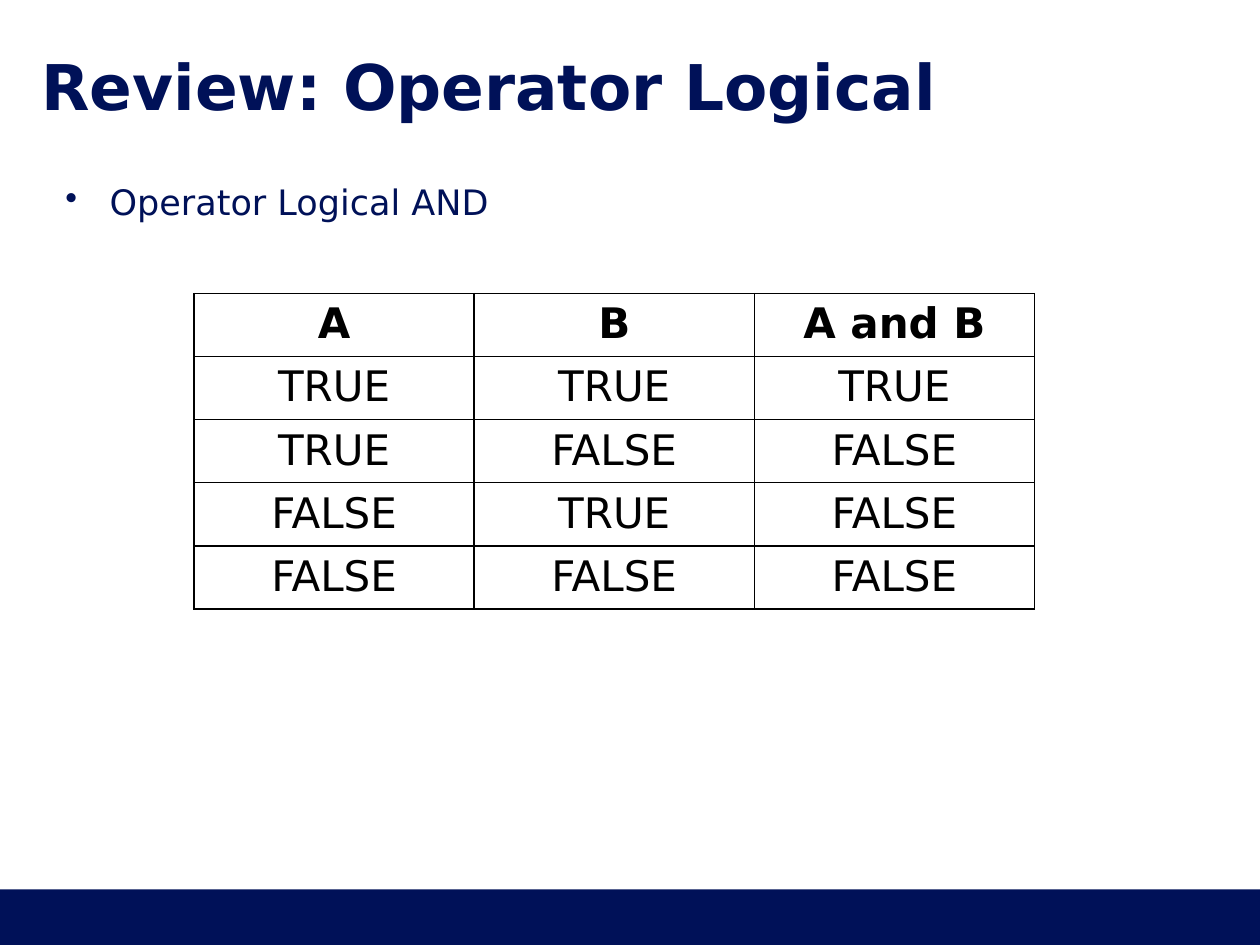
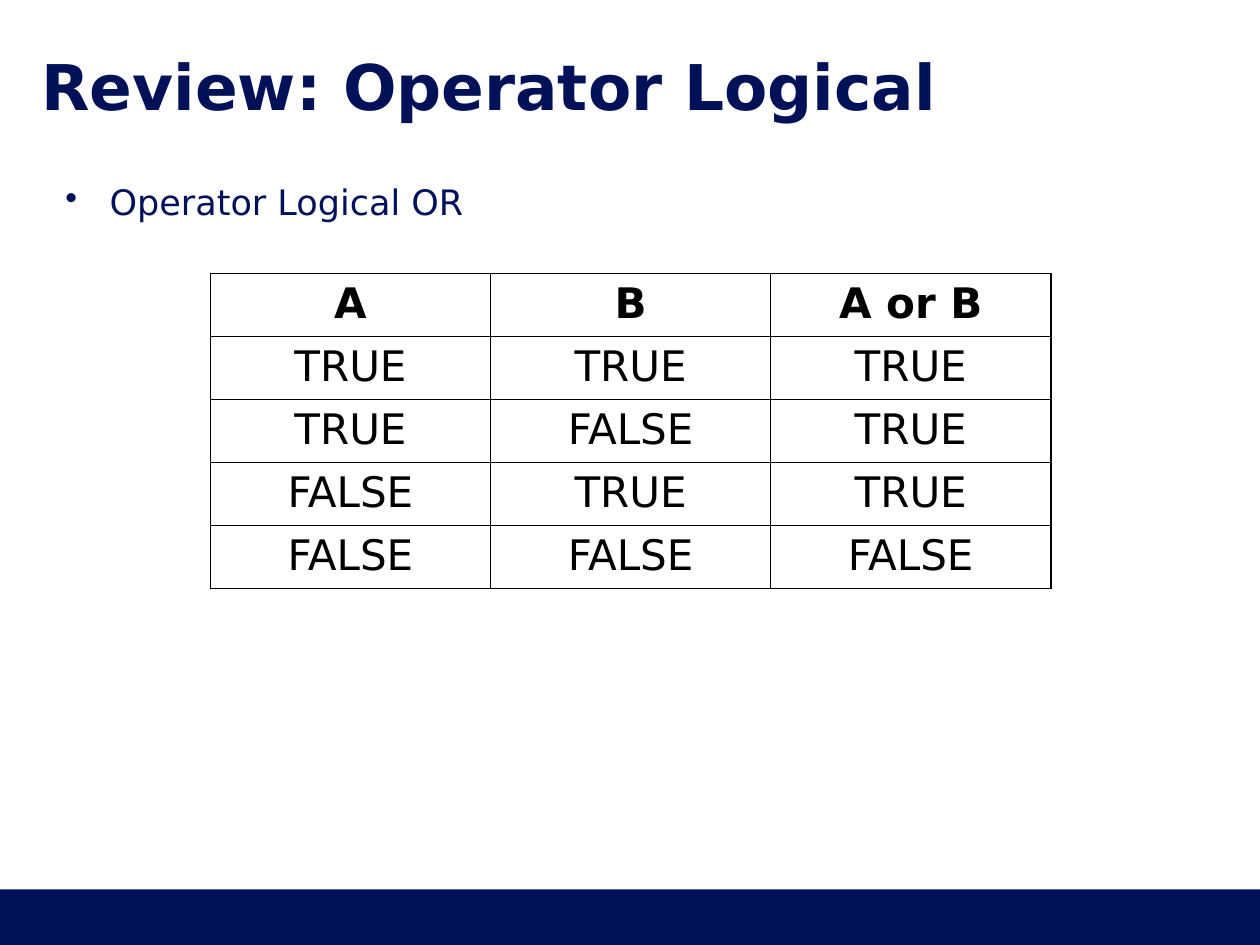
from itertools import product

from lxml import etree
from pptx import Presentation
from pptx.dml.color import RGBColor
from pptx.enum.shapes import MSO_SHAPE
from pptx.enum.text import MSO_ANCHOR, PP_ALIGN
from pptx.oxml.ns import qn
from pptx.util import Inches, Pt

RECTANGLE = MSO_SHAPE.RECTANGLE
MIDDLE = MSO_ANCHOR.MIDDLE
CENTER = PP_ALIGN.CENTER

COLORS = {"navy": "001158", "black": "000000"}
FONT = "DejaVu Sans"
BLANK_LAYOUT = 6
TITLE = "Review: Operator Logical"

# Boxes are left, top, width, height in inches.
TITLE_BOX = (0.33, 0.44, 9.34, 0.47)
BODY_BOX = (0.33, 1.37, 9.34, 5.24)
BAND_BOX = (0, 7.06, 10, 0.44)
ROW_HEIGHT = 0.41

OPERATORS = [
    {
        "name": "AND",
        "result": "A and B",
        "apply": lambda a, b: a and b,
        "table_box": (1.54, 2.33, 6.67, 2.5),
    },
    {
        "name": "OR",
        "result": "A or B",
        "apply": lambda a, b: a or b,
        "table_box": (1.67, 2.17, 6.67, 2.5),
    },
]


def color(name):
    return RGBColor.from_string(COLORS[name])


def inches(box):
    return [Inches(length) for length in box]


def style_text(para, size, color_name, bold=False):
    font = para.runs[0].font
    font.name = FONT
    font.size = Pt(size)
    font.bold = bold
    font.color.rgb = color(color_name)


def add_text(page, box, text, margins):
    """Add a wrapping text box; margins are left, top, right, bottom in inches."""
    frame = page.shapes.add_textbox(*inches(box)).text_frame
    frame.word_wrap = True
    (frame.margin_left, frame.margin_top,
     frame.margin_right, frame.margin_bottom) = inches(margins)
    frame.text = text
    return frame


def add_band(page, box):
    band = page.shapes.add_shape(RECTANGLE, *inches(box))
    band.shadow.inherit = False
    band.fill.solid()
    band.fill.fore_color.rgb = color("navy")
    band.line.fill.background()


def add_title(page, box, text):
    frame = add_text(page, box, text, (0, 0, 0.05, 0))
    frame.vertical_anchor = MIDDLE
    style_text(frame.paragraphs[0], 36, "navy", bold=True)


def add_bullet(page, box, text):
    para = add_text(page, box, text, (0.06, 0.1, 0, 0)).paragraphs[0]
    properties = para._p.get_or_add_pPr()
    properties.set("marL", str(Inches(0.48)))
    properties.set("indent", str(Inches(-0.35)))
    bullet_color = etree.SubElement(properties, qn("a:buClr"))
    etree.SubElement(bullet_color, qn("a:srgbClr"), val=COLORS["navy"])
    etree.SubElement(properties, qn("a:buChar"), char="•")
    para.line_spacing = 0.9
    para.space_after = Pt(4.5)
    style_text(para, 20, "navy")


def add_borders(cell):
    """Draw a one-point line on every side of an unfilled cell."""
    properties = cell._tc.get_or_add_tcPr()
    for index, side in enumerate(("lnL", "lnR", "lnT", "lnB")):
        line = etree.Element(qn(f"a:{side}"), w=str(Pt(1)))
        fill = etree.SubElement(line, qn("a:solidFill"))
        etree.SubElement(fill, qn("a:srgbClr"), val=COLORS["black"])
        properties.insert(index, line)


def truth_rows(operator):
    rows = [["A", "B", operator["result"]]]
    for a, b in product((True, False), repeat=2):
        values = (a, b, operator["apply"](a, b))
        rows.append([str(value).upper() for value in values])
    return rows


def add_truth_table(page, box, rows):
    column_count = len(rows[0])
    table = page.shapes.add_table(len(rows), column_count, *inches(box)).table
    table.horz_banding = False
    for column in table.columns:
        column.width = Inches(box[2] / column_count)
    for row_index, values in enumerate(rows):
        table.rows[row_index].height = Inches(ROW_HEIGHT)
        for column_index, value in enumerate(values):
            cell = table.cell(row_index, column_index)
            cell.fill.background()
            add_borders(cell)
            cell.text = value
            para = cell.text_frame.paragraphs[0]
            para.alignment = CENTER
            style_text(para, 24, "black", bold=row_index == 0)


def add_operator_slide(deck, operator):
    page = deck.slides.add_slide(deck.slide_layouts[BLANK_LAYOUT])
    add_band(page, BAND_BOX)
    add_title(page, TITLE_BOX, TITLE)
    add_bullet(page, BODY_BOX, f"Operator Logical {operator['name']}")
    add_truth_table(page, operator["table_box"], truth_rows(operator))


def main():
    deck = Presentation()
    deck.slide_width = Inches(10)
    deck.slide_height = Inches(7.5)
    for operator in OPERATORS:
        add_operator_slide(deck, operator)
    deck.save("out.pptx")


if __name__ == "__main__":
    main()
